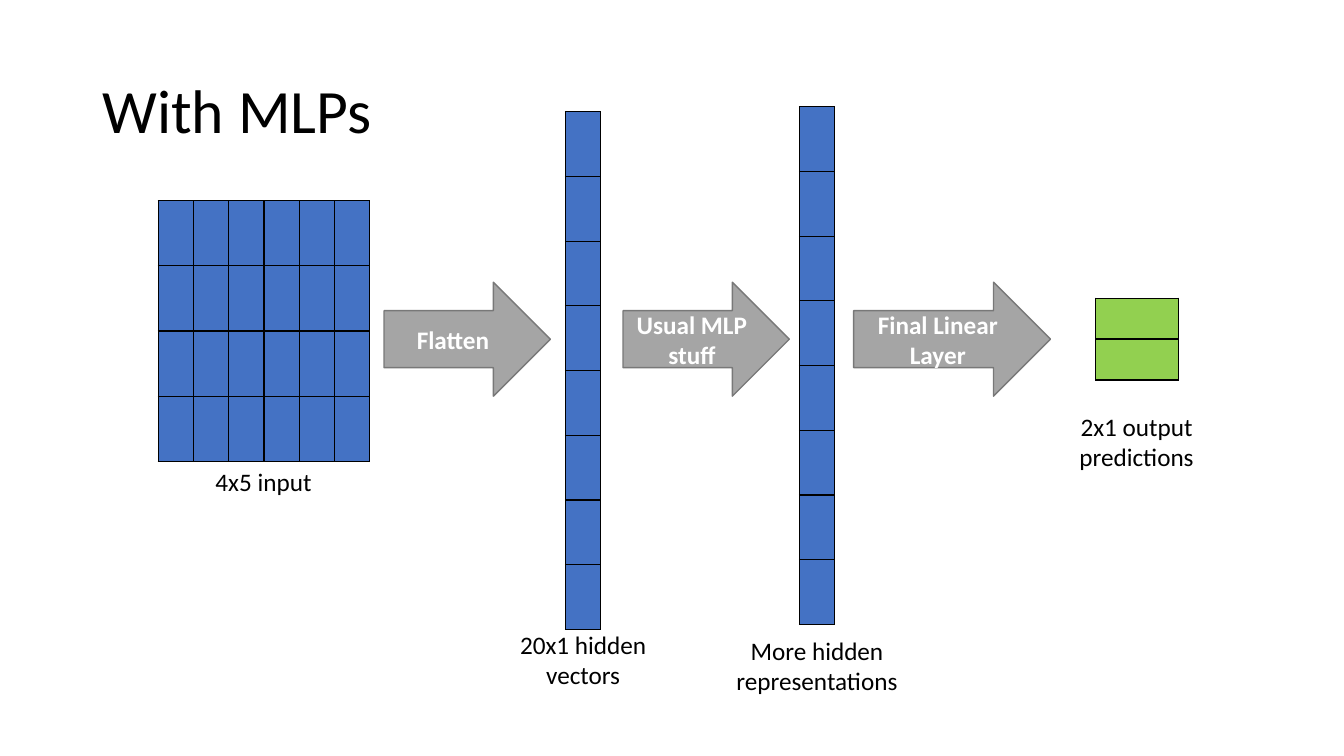
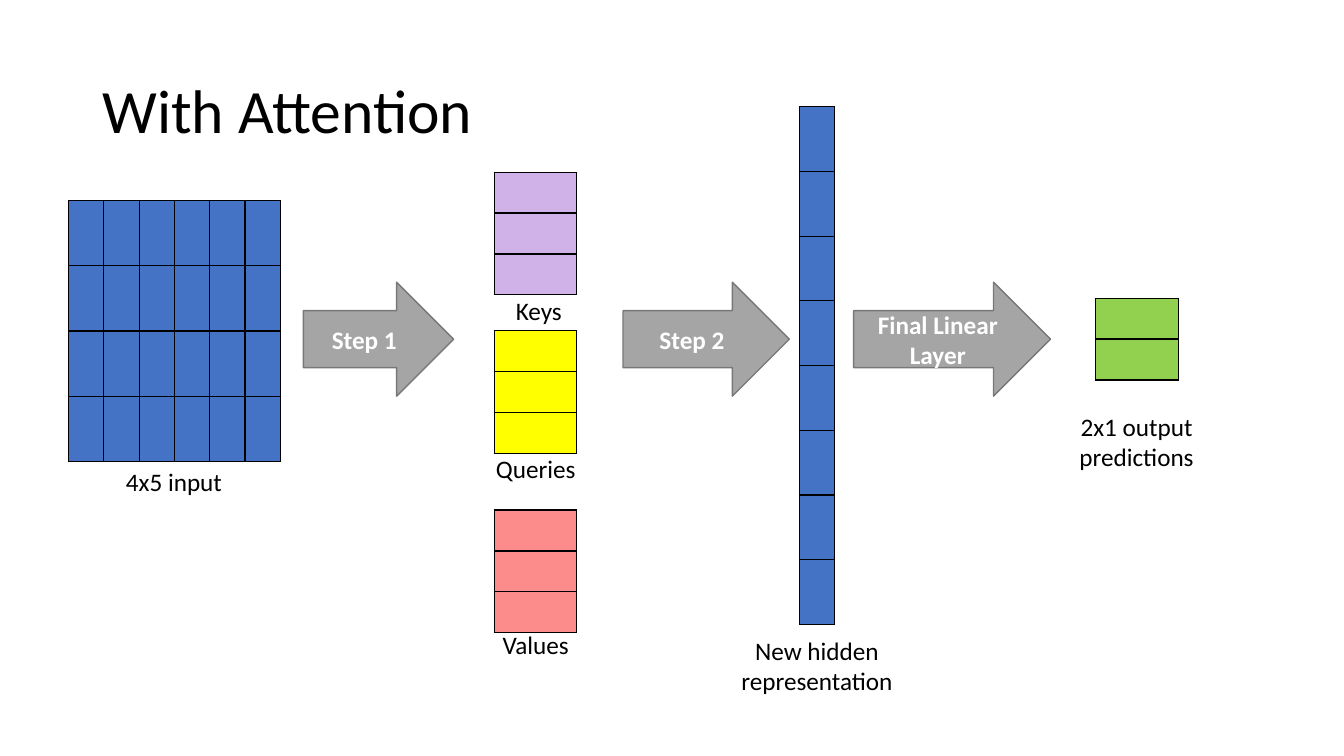
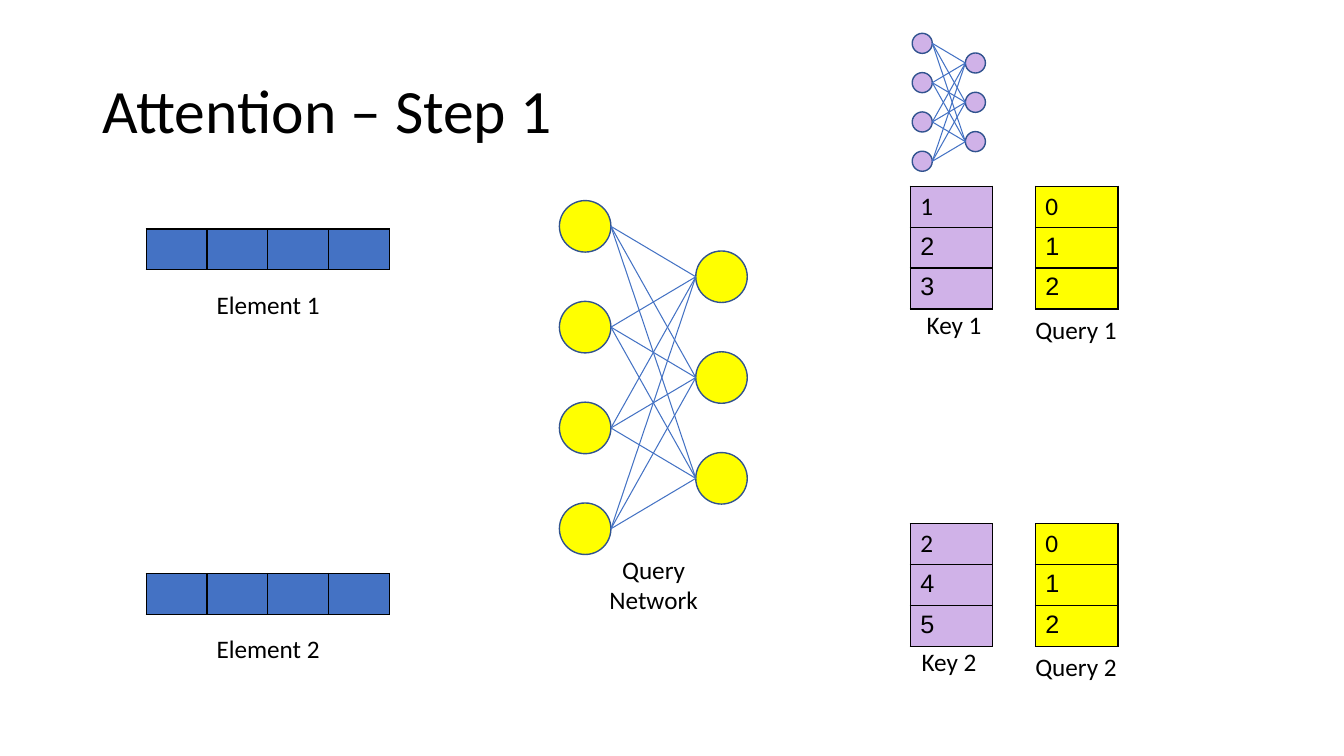
from dataclasses import dataclass

from lxml.etree import SubElement
from pptx import Presentation
from pptx.dml.color import RGBColor
from pptx.enum.shapes import MSO_CONNECTOR as Connector, MSO_SHAPE as Shape
from pptx.enum.text import MSO_ANCHOR as Anchor, MSO_AUTO_SIZE as AutoSize, PP_ALIGN as Align
from pptx.oxml.ns import qn
from pptx.util import Pt


@dataclass(frozen=True)
class Theme:
    black: str = "000000"
    white: str = "FFFFFF"
    blue: str = "4472C4"
    node_line: str = "31538F"
    gray: str = "A5A5A5"
    gray_line: str = "787878"
    green: str = "92D050"
    purple: str = "D0B2E8"
    yellow: str = "FFFF00"
    red: str = "FC8C8C"
    font: str = "Calibri"
    number_font: str = "Arial"
    title_size: int = 44
    body_size: int = 18


THEME = Theme()
LINE_HEIGHT, TWO_LINES = 29, 51

# Cell sizes: input and hidden vectors are tall, all other vectors are wide
TALL_WIDTH, INPUT_HEIGHT, HIDDEN_HEIGHT = 25.2, 46.6, 46.25
WIDE_WIDTH, WIDE_HEIGHT = 59, 29.2


def colour(value):
    return RGBColor.from_string(value)


# Text
def write(frame, text, size=THEME.body_size, ink=THEME.black, bold=False,
          align=Align.CENTER, font=THEME.font):
    frame.word_wrap = True
    para = frame.paragraphs[0]
    para.text = text
    para.alignment = align
    para.font.name = font
    para.font.size = Pt(size)
    para.font.bold = bold
    para.font.color.rgb = colour(ink)
    return para


def add_page(deck, title):
    page = deck.slides.add_slide(deck.slide_layouts[5])
    box = page.shapes.title
    box.left, box.top, box.width, box.height = Pt(66), Pt(28.8), Pt(828), Pt(104.4)
    box.text_frame.auto_size = AutoSize.NONE
    box.text_frame.vertical_anchor = Anchor.MIDDLE
    para = write(box.text_frame, title, THEME.title_size, align=Align.LEFT)
    para.line_spacing = 0.9
    return page


def add_caption(page, text, left, top, width=150.5, height=LINE_HEIGHT):
    box = page.shapes.add_textbox(Pt(left), Pt(top), Pt(width), Pt(height))
    write(box.text_frame, text)


# Shapes
def paint(shape, fill, line):
    shape.shadow.inherit = False
    shape.fill.solid()
    shape.fill.fore_color.rgb = colour(fill)
    shape.line.color.rgb = colour(line)
    shape.line.width = Pt(1)


def add_arrow(page, text, left, width):
    arrow = page.shapes.add_shape(Shape.RIGHT_ARROW, Pt(left), Pt(201.6), Pt(width), Pt(81.4))
    paint(arrow, THEME.gray, THEME.gray_line)
    arrow.text_frame.vertical_anchor = Anchor.MIDDLE
    write(arrow.text_frame, text, ink=THEME.white, bold=True)


# Tables
def border_cell(cell):
    properties = cell._tc.get_or_add_tcPr()
    for side in ("a:lnL", "a:lnR", "a:lnT", "a:lnB"):
        line = SubElement(properties, qn(side), w=str(Pt(1)))
        fill = SubElement(line, qn("a:solidFill"))
        SubElement(fill, qn("a:srgbClr"), val=THEME.black)


def add_grid(page, left, top, rows, columns, width, height, fill):
    frame = page.shapes.add_table(rows, columns, Pt(left), Pt(top),
                                  Pt(columns * width), Pt(rows * height))
    table = frame.table
    table.first_row = table.horz_banding = False
    for column in table.columns:
        column.width = Pt(width)
    for row in table.rows:
        row.height = Pt(height)
    for cell in table.iter_cells():
        border_cell(cell)
        cell.fill.solid()
        cell.fill.fore_color.rgb = colour(fill)
    return table


def add_hidden_vector(page, left, top):
    add_grid(page, left, top, 8, 1, TALL_WIDTH, HIDDEN_HEIGHT, THEME.blue)


def add_vector(page, left, top, fill, rows=3, values=()):
    table = add_grid(page, left, top, rows, 1, WIDE_WIDTH, WIDE_HEIGHT, fill)
    for index, value in enumerate(values):
        font = THEME.number_font if index else THEME.font
        write(table.cell(index, 0).text_frame, value, align=Align.LEFT, font=font)


# Network of four inputs and three outputs, fully connected
def add_network(page, left, top, fill, scale=1.0):
    size, step, reach = 36.8 * scale, 72 * scale, 97.4 * scale
    group = page.shapes.add_group_shape()
    inputs = [(left, top + index * step) for index in range(4)]
    outputs = [(left + reach, top + (index + 0.5) * step) for index in range(3)]
    for x, y in inputs + outputs:
        node = group.shapes.add_shape(Shape.FLOWCHART_CONNECTOR, Pt(x), Pt(y), Pt(size), Pt(size))
        paint(node, fill, THEME.node_line)
    for start_x, start_y in inputs:
        for end_x, end_y in outputs:
            link = group.shapes.add_connector(
                Connector.STRAIGHT, Pt(start_x + size), Pt(start_y + size / 2),
                Pt(end_x), Pt(end_y + size / 2))
            link.line.color.rgb = colour(THEME.blue)
            link.line.width = Pt(0.75)
            SubElement(link._element.spPr, qn("a:effectLst"))


# Input, last hidden vector and output, common to both model pages
def add_model(page, input_left, hidden_caption):
    add_grid(page, input_left, 143.3, 4, 6, TALL_WIDTH, INPUT_HEIGHT, THEME.blue)
    add_caption(page, "4x5 input", input_left, 329.8)
    add_hidden_vector(page, 571, 76.2)
    add_caption(page, hidden_caption, 508.3, 450, height=TWO_LINES)
    add_arrow(page, "Final Linear Layer", 609.8, 140.6)
    add_vector(page, 782.6, 213, THEME.green, rows=2)
    add_caption(page, "2x1 output predictions", 736.6, 290.2, height=TWO_LINES)


def build_mlp_page(deck):
    page = add_page(deck, "With MLPs")
    add_model(page, 113, "More hidden representations")
    add_arrow(page, "Flatten", 274.3, 118.8)
    add_hidden_vector(page, 404, 79.8)
    add_caption(page, "20x1 hidden vectors", 341.3, 445.7, height=TWO_LINES)
    add_arrow(page, "Usual MLP stuff", 445, 118.8)


def build_attention_page(deck):
    page = add_page(deck, "With Attention")
    add_model(page, 49, "New hidden representation")
    add_arrow(page, "Step 1", 216.7, 107.3)
    for text, fill, top, caption_left, caption_top in (
            ("Keys", THEME.purple, 123, 340.6, 207.4),
            ("Queries", THEME.yellow, 236.3, 338.4, 320.4),
            ("Values", THEME.red, 364.3, 338.4, 445.7)):
        add_vector(page, 353, top, fill)
        add_caption(page, text, caption_left, caption_top, 88.6)
    add_arrow(page, "Step 2", 445, 118.8)


def build_step_page(deck):
    page = add_page(deck, "Attention – Step 1")
    add_network(page, 399.6, 143.3, THEME.yellow)
    add_caption(page, "Query Network", 411.8, 392.4, 110.2, TWO_LINES)
    add_network(page, 651.6, 23.8, THEME.purple, scale=0.39)

    for number, element_top, vector_top, key_left, key in (
            (1, 163.6, 133.1, 637.2, "123"),
            (2, 409.6, 374, 633.6, "245")):
        add_grid(page, 104.4, element_top, 1, 4, 43.4, WIDE_HEIGHT, THEME.blue)
        add_caption(page, f"Element {number}", 143.3, element_top + 39.3, 96.5)
        add_vector(page, 650.2, vector_top, THEME.purple, values=key)
        add_caption(page, f"Key {number}", key_left, vector_top + 84.4, 88.6)
        add_vector(page, 739.6, vector_top, THEME.yellow, values="012")
        add_caption(page, f"Query {number}", 724.3, vector_top + 88, 88.6)


def main():
    deck = Presentation()
    deck.slide_width, deck.slide_height = Pt(960), Pt(540)
    build_mlp_page(deck)
    build_attention_page(deck)
    build_step_page(deck)
    deck.save("out.pptx")


if __name__ == "__main__":
    main()
